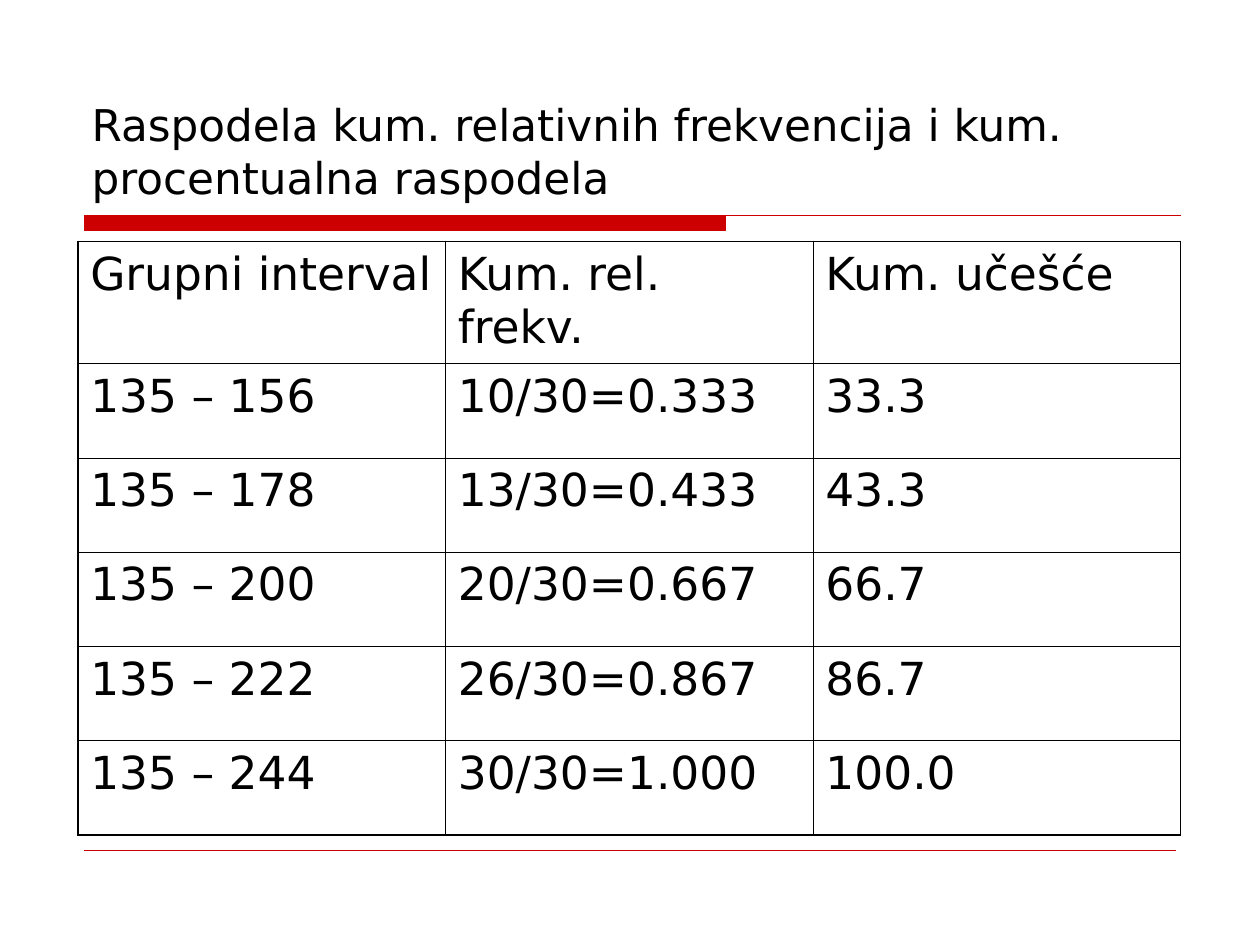
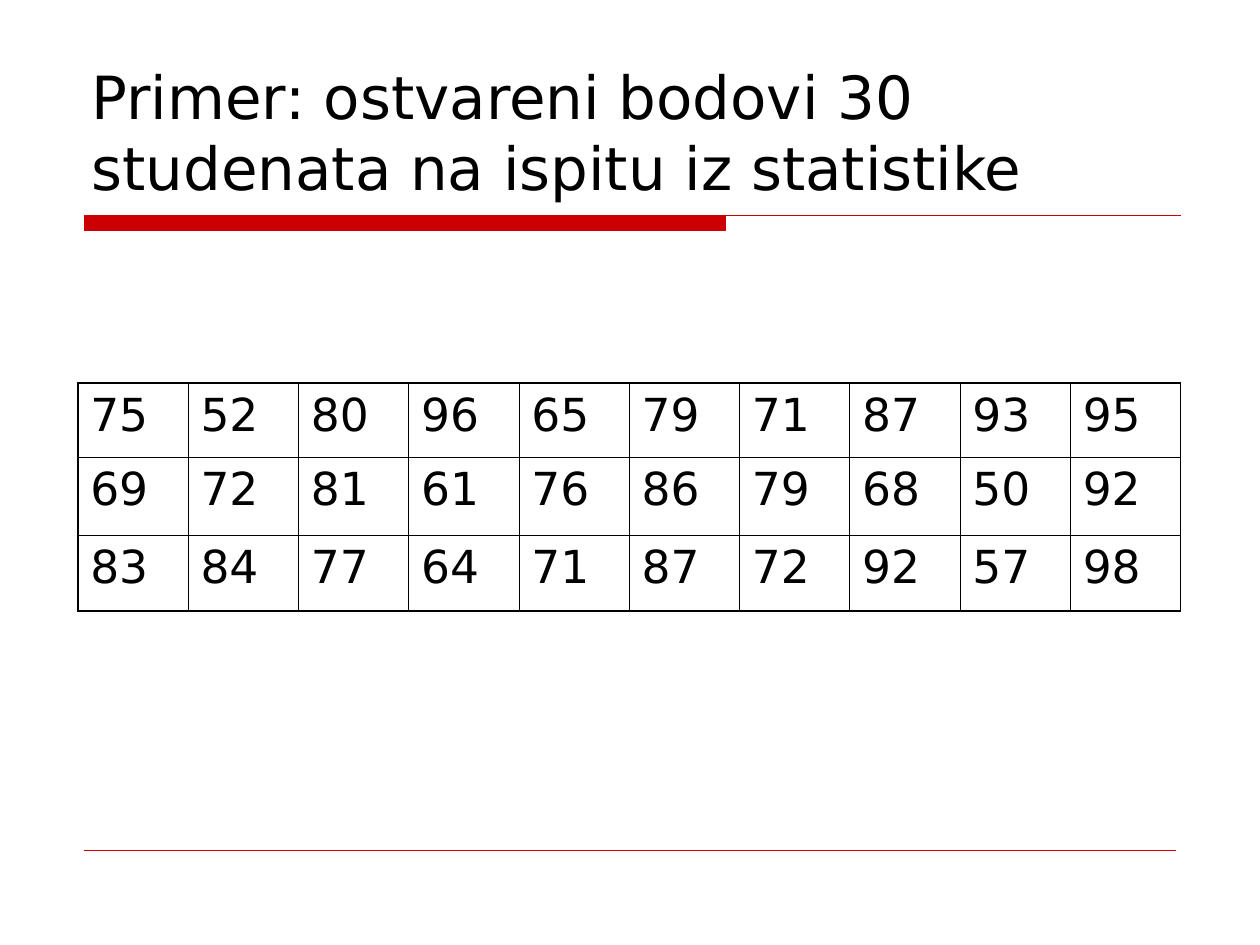
from lxml import etree
from pptx import Presentation
from pptx.dml.color import RGBColor
from pptx.enum import shapes, text
from pptx.oxml import ns
from pptx.util import Cm, Pt

SLIDES = [
    {
        "title": "Raspodela kum. relativnih frekvencija i kum. procentualna raspodela",
        "title_size": 25,
        "table_top": 4.87,
        "row_heights": [2.46] + [1.9] * 5,
        "rows": [
            ("Grupni interval", "Kum. rel. frekv.", "Kum. učešće"),
            ("135 – 156", "10/30=0.333", "33.3"),
            ("135 – 178", "13/30=0.433", "43.3"),
            ("135 – 200", "20/30=0.667", "66.7"),
            ("135 – 222", "26/30=0.867", "86.7"),
            ("135 – 244", "30/30=1.000", "100.0"),
        ],
    },
    {
        "title": "Primer: ostvareni bodovi 30 studenata na ispitu iz statistike",
        "title_size": 34,
        "table_top": 7.72,
        "row_heights": [1.49, 1.58, 1.53],
        "rows": [
            (75, 52, 80, 96, 65, 79, 71, 87, 93, 95),
            (69, 72, 81, 61, 76, 86, 79, 68, 50, 92),
            (83, 84, 77, 64, 71, 87, 72, 92, 57, 98),
        ],
    },
]

FONT = "DejaVu Sans"
BLACK, RED = "000000", "CC0000"
TABLE_LEFT, TABLE_WIDTH, TABLE_SIZE = 1.57, 22.23, 26
INNER_BORDER, OUTER_BORDER = 0.45, 1.08
RULE_LEFT, RULE_TOP, RULE_RIGHT = 1.7, 4.35, 23.8
BAR_RIGHT, BAR_BOTTOM = 14.62, 4.65
FOOTER_RIGHT, FOOTER_TOP = 23.7, 17.14
MARGINS = {"margin_left": Cm(0.25), "margin_right": Cm(0.25),
           "margin_top": Cm(0.13), "margin_bottom": Cm(0.13)}


def color(hex_value):
    return RGBColor.from_string(hex_value)


def set_attributes(target, values):
    for name, value in values.items():
        setattr(target, name, value)


def write(frame, content, size):
    paragraph = frame.paragraphs[0]
    run = paragraph.add_run()
    run.text = str(content)
    set_attributes(run.font, {"name": FONT, "size": Pt(size)})
    run.font.color.rgb = color(BLACK)
    return paragraph


def add_title(slide, content, size):
    box = slide.shapes.add_textbox(Cm(1.6), Cm(0.84), Cm(22.22), Cm(3.38))
    set_attributes(box.text_frame, MARGINS | {
        "word_wrap": True, "vertical_anchor": text.MSO_ANCHOR.BOTTOM})
    write(box.text_frame, content, size)


def add_title_rule(slide):
    """Draw the thick bar and the thin line that continues it to the right."""
    builder = slide.shapes.build_freeform(Cm(RULE_LEFT), Cm(RULE_TOP))
    bar = [(BAR_RIGHT, RULE_TOP), (BAR_RIGHT, BAR_BOTTOM), (RULE_LEFT, BAR_BOTTOM)]
    builder.add_line_segments([(Cm(x), Cm(y)) for x, y in bar], close=True)
    builder.move_to(Cm(RULE_LEFT), Cm(RULE_TOP))
    builder.add_line_segments([(Cm(RULE_RIGHT), Cm(RULE_TOP))], close=False)
    rule = builder.convert_to_shape()
    rule.shadow.inherit = False
    rule.fill.solid()
    rule.fill.fore_color.rgb = color(RED)
    rule.line.color.rgb = color(RED)
    rule.line.width = Pt(0.75)


def add_footer_line(slide):
    line = slide.shapes.add_connector(
        shapes.MSO_CONNECTOR.STRAIGHT,
        Cm(RULE_LEFT), Cm(FOOTER_TOP), Cm(FOOTER_RIGHT), Cm(FOOTER_TOP))
    line.line.color.rgb = color(RED)
    line.line.width = Pt(0.25)
    etree.SubElement(line._element.spPr, ns.qn("a:effectLst"))


def set_borders(cell, is_outer):
    """Border every side; is_outer tells which sides lie on the table edge."""
    properties = cell._tc.get_or_add_tcPr()
    for side, outer in is_outer.items():
        width = Pt(OUTER_BORDER if outer else INNER_BORDER)
        line = etree.SubElement(properties, ns.qn(f"a:ln{side}"), w=str(int(width)))
        fill = etree.SubElement(line, ns.qn("a:solidFill"))
        etree.SubElement(fill, ns.qn("a:srgbClr"), val=BLACK)


def add_grid(slide, rows, top, row_heights):
    row_count, column_count = len(rows), len(rows[0])
    table = slide.shapes.add_table(
        row_count, column_count, Cm(TABLE_LEFT), Cm(top),
        Cm(TABLE_WIDTH), Cm(sum(row_heights))).table
    set_attributes(table, {"first_row": False, "horz_banding": False})
    for column in table.columns:
        column.width = Cm(TABLE_WIDTH / column_count)
    for r, (values, height) in enumerate(zip(rows, row_heights)):
        table.rows[r].height = Cm(height)
        for c, value in enumerate(values):
            cell = table.cell(r, c)
            set_attributes(cell, MARGINS)
            set_borders(cell, {"L": c == 0, "R": c == column_count - 1,
                               "T": r == 0, "B": r == row_count - 1})
            cell.fill.background()
            write(cell.text_frame, value, TABLE_SIZE).space_before = Pt(6.5)


def main():
    presentation = Presentation()
    set_attributes(presentation, {"slide_width": Cm(25.4), "slide_height": Cm(19.05)})
    for content in SLIDES:
        slide = presentation.slides.add_slide(presentation.slide_layouts[6])
        add_title_rule(slide)
        add_footer_line(slide)
        add_title(slide, content["title"], content["title_size"])
        add_grid(slide, content["rows"], content["table_top"], content["row_heights"])
    presentation.save("out.pptx")


if __name__ == "__main__":
    main()
